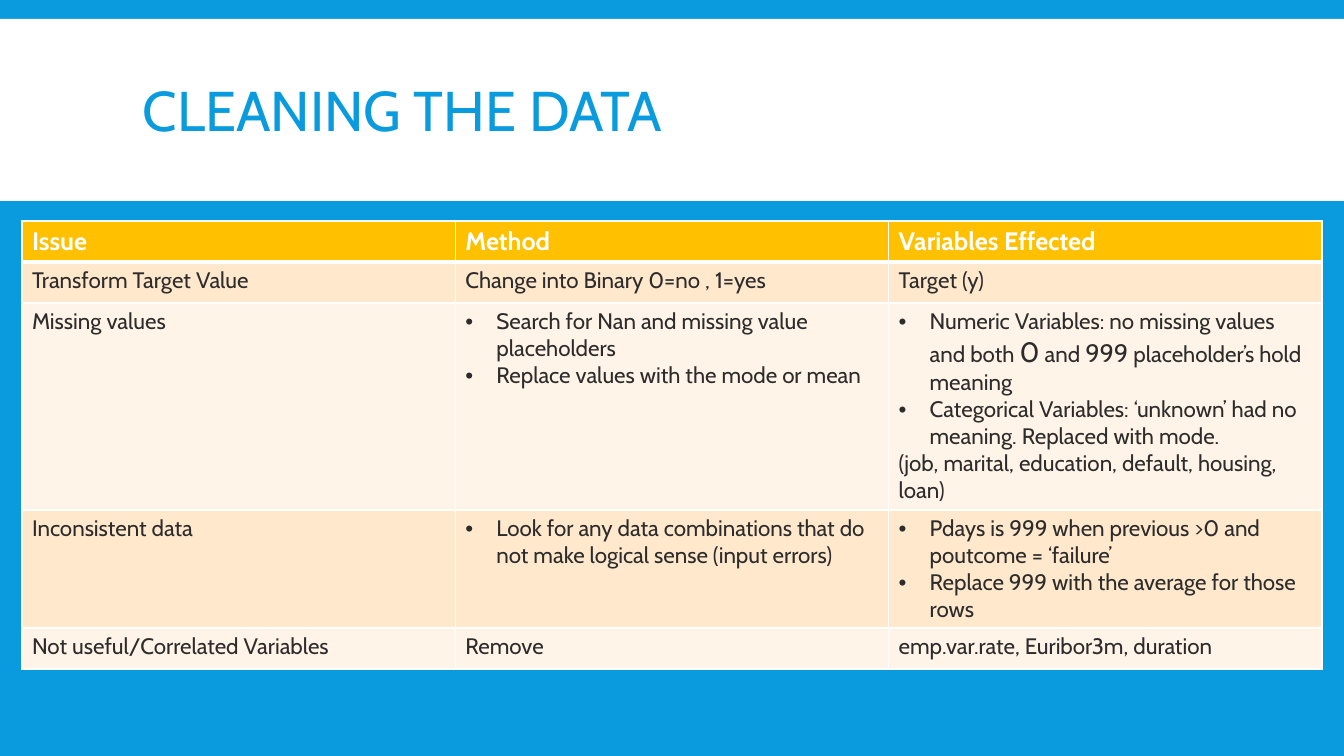
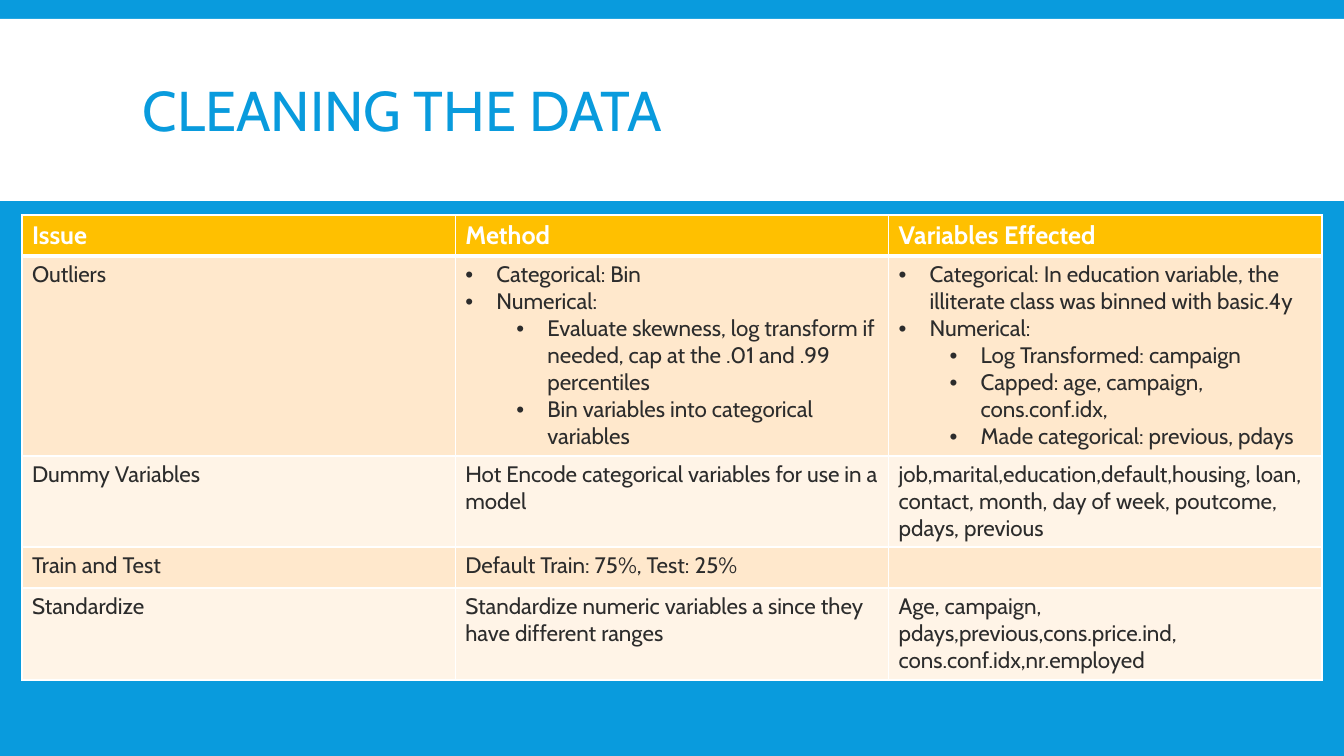
from dataclasses import dataclass

from lxml.etree import SubElement
from pptx import Presentation
from pptx.dml.color import RGBColor
from pptx.enum.shapes import MSO_SHAPE
from pptx.enum.text import MSO_ANCHOR as Anchor
from pptx.oxml.ns import qn
from pptx.util import Pt

SLIDE_WIDTH, SLIDE_HEIGHT = 1344, 756
EMU_PER_PX = 12192000 / SLIDE_WIDTH


def px(length):
    return round(length * EMU_PER_PX)


@dataclass(frozen=True)
class Theme:
    font: str = "Cabin"
    blue: str = "099BDD"
    white: str = "FFFFFF"
    amber: str = "FFC000"
    ink: str = "2C2C2C"
    row_fills: tuple = ("FFE8CC", "FFF4E7")
    title_size: int = 40
    header_size: int = 18
    body_size: int = 16
    thin: int = 1
    thick: int = 3


THEME = Theme()


@dataclass(frozen=True)
class Bullet:
    """A bulleted line; its text is a string or a list of (text, size) runs."""
    text: object
    level: int = 0


TITLE = "CLEANING THE DATA"
HEADER = ("Issue", "Method", "Variables Effected")

# Each row: height in px, then its cells
ISSUES = [
    (41, "Transform Target Value", "Change into Binary 0=no , 1=yes", "Target (y)"),
    (207, "Missing values",
     [Bullet("Search for Nan and missing value placeholders"),
      Bullet("Replace values with the mode or mean")],
     [Bullet([("Numeric Variables: no missing values and both ", 16), ("0", 20),
              (" and ", 16), ("999", 18), (" placeholder’s hold meaning", 16)]),
      Bullet("Categorical Variables: ‘unknown’ had no meaning. Replaced with mode."),
      "(job, marital, education, default, housing, loan)"]),
    (118, "Inconsistent data",
     [Bullet("Look for any data combinations that do not make logical sense (input errors)")],
     [Bullet("Pdays is 999 when previous >0 and poutcome = ‘failure’"),
      Bullet("Replace 999 with the average for those rows")]),
    (41, "Not useful/Correlated Variables", "Remove", "emp.var.rate, Euribor3m, duration"),
]

PREPARATION = [
    (200, "Outliers",
     [Bullet("Categorical: Bin"),
      Bullet("Numerical:"),
      Bullet("Evaluate skewness, log transform if needed, cap at the .01 and .99 percentiles", 1),
      Bullet("Bin variables into categorical variables", 1)],
     [Bullet("Categorical: In education variable, the illiterate class was binned with basic.4y"),
      Bullet("Numerical:"),
      Bullet("Log Transformed: campaign", 1),
      Bullet("Capped: age, campaign, cons.conf.idx,", 1),
      Bullet("Made categorical: previous, pdays", 1)]),
    (91, "Dummy Variables",
     "Hot Encode categorical variables for use in a model",
     "job,marital,education,default,housing, loan, contact, month, day of week, "
     "poutcome, pdays, previous"),
    (41, "Train and Test", "Default Train: 75%, Test: 25%", ""),
    (92, "Standardize",
     "Standardize numeric variables a since they have different ranges",
     "Age, campaign, pdays,previous,cons.price.ind, cons.conf.idx,nr.employed"),
]


def color(hex_value):
    return RGBColor.from_string(hex_value)


def style_run(run, size, hex_value, bold=False):
    run.font.name = THEME.font
    run.font.size = Pt(size)
    run.font.bold = bold
    run.font.color.rgb = color(hex_value)


def set_bullet(paragraph, level):
    paragraph.level = level
    properties = paragraph._p.get_or_add_pPr()
    properties.set("marL", str(px(31 + 51 * level)))
    properties.set("indent", str(px(-31)))
    SubElement(properties, qn("a:buFont"), typeface="Arial")
    SubElement(properties, qn("a:buChar"), char="•")


def set_borders(cell, top, bottom):
    properties = cell._tc.get_or_add_tcPr()
    widths = {"lnL": THEME.thin, "lnR": THEME.thin, "lnT": top, "lnB": bottom}
    for tag, width in widths.items():
        line = SubElement(properties, qn(f"a:{tag}"), w=str(Pt(width)))
        fill = SubElement(line, qn("a:solidFill"))
        SubElement(fill, qn("a:srgbClr"), val=THEME.white)


def fill_cell(cell, content, fill, size, text_color, bold=False):
    cell.fill.solid()
    cell.fill.fore_color.rgb = color(fill)
    lines = content if isinstance(content, list) else [content]
    for index, line in enumerate(lines):
        text_frame = cell.text_frame
        paragraph = text_frame.add_paragraph() if index else text_frame.paragraphs[0]
        text = line
        if isinstance(line, Bullet):
            set_bullet(paragraph, line.level)
            text = line.text
        pieces = text if isinstance(text, list) else [(text, size)]
        for piece, piece_size in pieces:
            if piece:
                run = paragraph.add_run()
                run.text = piece
                style_run(run, piece_size, text_color, bold)


def add_title_band(slide, left, top, width, height, title):
    # White band
    band = slide.shapes.add_shape(
        MSO_SHAPE.RECTANGLE, px(left), px(top), px(width), px(height))
    band.shadow.inherit = False
    band.fill.solid()
    band.fill.fore_color.rgb = color(THEME.white)
    band.line.fill.background()

    # Title
    box = slide.shapes.add_textbox(
        px(left + 133), px(top + 12), px(width - 265), px(height - 16))
    text_frame = box.text_frame
    text_frame.word_wrap = True
    text_frame.vertical_anchor = Anchor.MIDDLE
    text_frame.text = title
    paragraph = text_frame.paragraphs[0]
    paragraph.line_spacing = 0.85
    style_run(paragraph.runs[0], THEME.title_size, THEME.blue)


def add_issue_table(slide, left, top, width, rows):
    rows = [(41, *HEADER), *rows]
    height = sum(row[0] for row in rows)
    table = slide.shapes.add_table(
        len(rows), len(HEADER), px(left), px(top), px(width), px(height)).table
    table.horz_banding = False
    for column in table.columns:
        column.width = px(width / len(HEADER))

    for row_index, (row_height, *contents) in enumerate(rows):
        table.rows[row_index].height = px(row_height)
        is_header = row_index == 0
        for column_index, content in enumerate(contents):
            cell = table.cell(row_index, column_index)
            # The rule under the header is shared with the first body row
            set_borders(cell,
                        top=THEME.thick if row_index == 1 else THEME.thin,
                        bottom=THEME.thick if is_header else THEME.thin)
            if is_header:
                fill_cell(cell, content, THEME.amber, THEME.header_size, THEME.white, True)
            else:
                fill = THEME.row_fills[(row_index - 1) % 2]
                fill_cell(cell, content, fill, THEME.body_size, THEME.ink)


def add_table_slide(presentation, table_top, rows):
    slide = presentation.slides.add_slide(presentation.slide_layouts[6])
    slide.background.fill.solid()
    slide.background.fill.fore_color.rgb = color(THEME.blue)
    add_title_band(slide, 0, 19, SLIDE_WIDTH, 182, TITLE)
    add_issue_table(slide, 22, table_top, SLIDE_WIDTH - 2 * 22, rows)


def main():
    presentation = Presentation()
    presentation.slide_width = px(SLIDE_WIDTH)
    presentation.slide_height = px(SLIDE_HEIGHT)
    add_table_slide(presentation, 221, ISSUES)
    add_table_slide(presentation, 215, PREPARATION)
    presentation.save("out.pptx")


if __name__ == "__main__":
    main()
